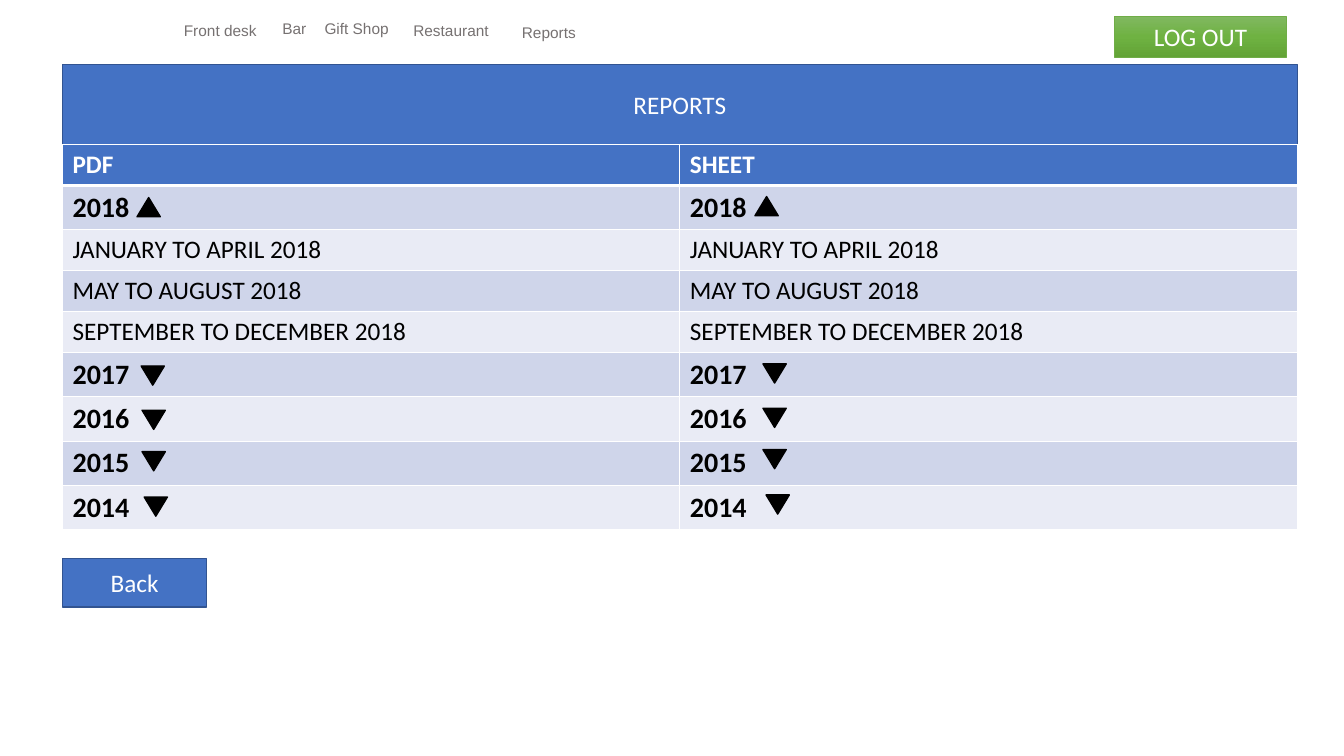
from copy import deepcopy

from lxml import etree
from pptx import Presentation
from pptx.dml.color import RGBColor
from pptx.enum.shapes import MSO_SHAPE
from pptx.enum.text import MSO_ANCHOR, MSO_AUTO_SIZE, PP_ALIGN
from pptx.oxml.ns import qn
from pptx.util import Pt

RECTANGLE = MSO_SHAPE.RECTANGLE
TRIANGLE = MSO_SHAPE.ISOSCELES_TRIANGLE
MIDDLE = MSO_ANCHOR.MIDDLE
CENTER = PP_ALIGN.CENTER
NO_FIT = MSO_AUTO_SIZE.NONE

BLUE, BLUE_EDGE, GREEN_EDGE = "4472C4", "325491", "70AD47"
WHITE, BLACK, GRAY = "FFFFFF", "000000", "767171"
BANDS = ["CFD5EA", "E9EBF5"]
GREENS = [(0, "81B861"), (0.5, "6FB242"), (1, "62A336")]

TITLE = ("REPORTS", (44.64, 46.1, 882, 57.6))
LOG_OUT = ("LOG OUT", (796.3, 11.5, 122.4, 29.5))
BACK = ("Back", (44.64, 398.9, 103, 34.6))
NAVIGATION = [
    ("Bar", (180, 9.4, 60.5, 22.3)),
    ("Gift Shop", (224.6, 5.8, 60.5, 28.8)),
    ("Restaurant", (285.1, 7.2, 74.2, 28.8)),
    ("Reports", (355.7, 8.6, 72.7, 28.8)),
    ("Front desk", (121, 5, 72.7, 33.1)),
]
FORMATS = ["PDF", "SHEET"]
YEARS = [
    ("2018", ["JANUARY TO APRIL 2018", "MAY TO AUGUST 2018", "SEPTEMBER TO DECEMBER 2018"]),
    ("2017", []),
    ("2016", []),
    ("2015", []),
    ("2014", []),
]
MARKERS = [
    [(97.9, 141.1), (100.8, 261.4), (101.5, 293), (101.5, 322.6), (103, 355)],
    [(539.3, 140.4), (545, 259.9), (545, 291.6), (545, 321.1), (547.2, 353.5)],
]
TABLE_LEFT, TABLE_TOP, COLUMN_WIDTH = 44.64, 103.2, 441
ROW_HEIGHT, YEAR_HEIGHT = 29.2, 31.7
MARKER_WIDTH, MARKER_HEIGHT = 16.6, 13.7


def color(value):
    return RGBColor.from_string(value)


def paint(shape, fill, line=None, width=1):
    shape.fill.solid()
    shape.fill.fore_color.rgb = color(fill)
    if line:
        shape.line.color.rgb = color(line)
        shape.line.width = Pt(width)
    else:
        shape.line.fill.background()


def write(frame, text, size, ink, bold=False, font="Calibri"):
    para = frame.paragraphs[0]
    span = para.add_run()
    span.text = text
    span.font.name = font
    span.font.size = Pt(size)
    span.font.bold = bold
    span.font.color.rgb = color(ink)
    return para


def add_shape(page, kind, place, fill, line=None, width=1):
    shape = page.shapes.add_shape(kind, *map(Pt, place))
    shape.shadow.inherit = False
    paint(shape, fill, line, width)
    return shape


def label(shape, text, size=18, ink=WHITE, font="Calibri"):
    frame = shape.text_frame
    frame.word_wrap = True
    frame.auto_size = NO_FIT
    frame.vertical_anchor = MIDDLE
    write(frame, text, size, ink, font=font).alignment = CENTER


def shade(shape, stops):
    shape.fill.gradient()
    shape.fill.gradient_angle = 270
    stop_list = shape.element.find(".//" + qn("a:gsLst"))
    stop_list.insert(1, deepcopy(stop_list[0]))
    for stop, (position, value) in zip(stop_list, stops):
        stop.set("pos", str(int(position * 100000)))
    for stop, (position, value) in zip(shape.fill.gradient_stops, stops):
        stop.color.rgb = color(value)


def add_borders(cell, top, bottom):
    properties = cell._tc.get_or_add_tcPr()
    sides = [("a:lnL", 1), ("a:lnR", 1), ("a:lnT", top), ("a:lnB", bottom)]
    for index, (side, width) in enumerate(sides):
        line = etree.Element(qn(side), w=str(Pt(width)))
        fill = etree.SubElement(line, qn("a:solidFill"))
        etree.SubElement(fill, qn("a:srgbClr"), val=WHITE)
        properties.insert(index, line)


def add_reports(page):
    rows = []
    for year, periods in YEARS:
        rows.append((year, 20, True, YEAR_HEIGHT))
        rows += [(period, 18, False, ROW_HEIGHT) for period in periods]
    heights = [ROW_HEIGHT] + [row[3] for row in rows]
    place = (TABLE_LEFT, TABLE_TOP, COLUMN_WIDTH * len(FORMATS), sum(heights))
    table = page.shapes.add_table(len(heights), len(FORMATS), *map(Pt, place)).table
    for row, height in zip(table.rows, heights):
        row.height = Pt(height)
    for column, name in enumerate(FORMATS):
        table.columns[column].width = Pt(COLUMN_WIDTH)
        entries = [(name, 18, True, WHITE, BLUE)]
        for index, (text, size, bold, height) in enumerate(rows):
            entries.append((text, size, bold, BLACK, BANDS[index % 2]))
        for index, (text, size, bold, ink, fill) in enumerate(entries):
            cell = table.cell(index, column)
            cell.fill.solid()
            cell.fill.fore_color.rgb = color(fill)
            write(cell.text_frame, text, size, ink, bold)
            add_borders(cell, 3 if index == 1 else 1, 3 if index == 0 else 1)


def add_markers(page):
    for places in MARKERS:
        for (year, periods), (left, top) in zip(YEARS, places):
            place = (left, top, MARKER_WIDTH, MARKER_HEIGHT)
            marker = add_shape(page, TRIANGLE, place, BLACK, BLACK)
            marker.rotation = 0 if periods else 180


def main():
    deck = Presentation()
    deck.slide_width, deck.slide_height = Pt(960), Pt(540)
    page = deck.slides.add_slide(deck.slide_layouts[5])

    text, place = TITLE
    title = page.shapes.title
    title.left, title.top, title.width, title.height = map(Pt, place)
    paint(title, BLUE, BLUE_EDGE)
    label(title, text)

    text, place = LOG_OUT
    log_out = add_shape(page, RECTANGLE, place, GREEN_EDGE, GREEN_EDGE, 0.5)
    shade(log_out, GREENS)
    label(log_out, text)

    add_reports(page)
    add_markers(page)

    text, place = BACK
    label(add_shape(page, RECTANGLE, place, BLUE, BLUE_EDGE), text)

    for text, place in NAVIGATION:
        label(add_shape(page, RECTANGLE, place, WHITE), text, 11, GRAY, "Arial")

    deck.save("out.pptx")


if __name__ == "__main__":
    main()
